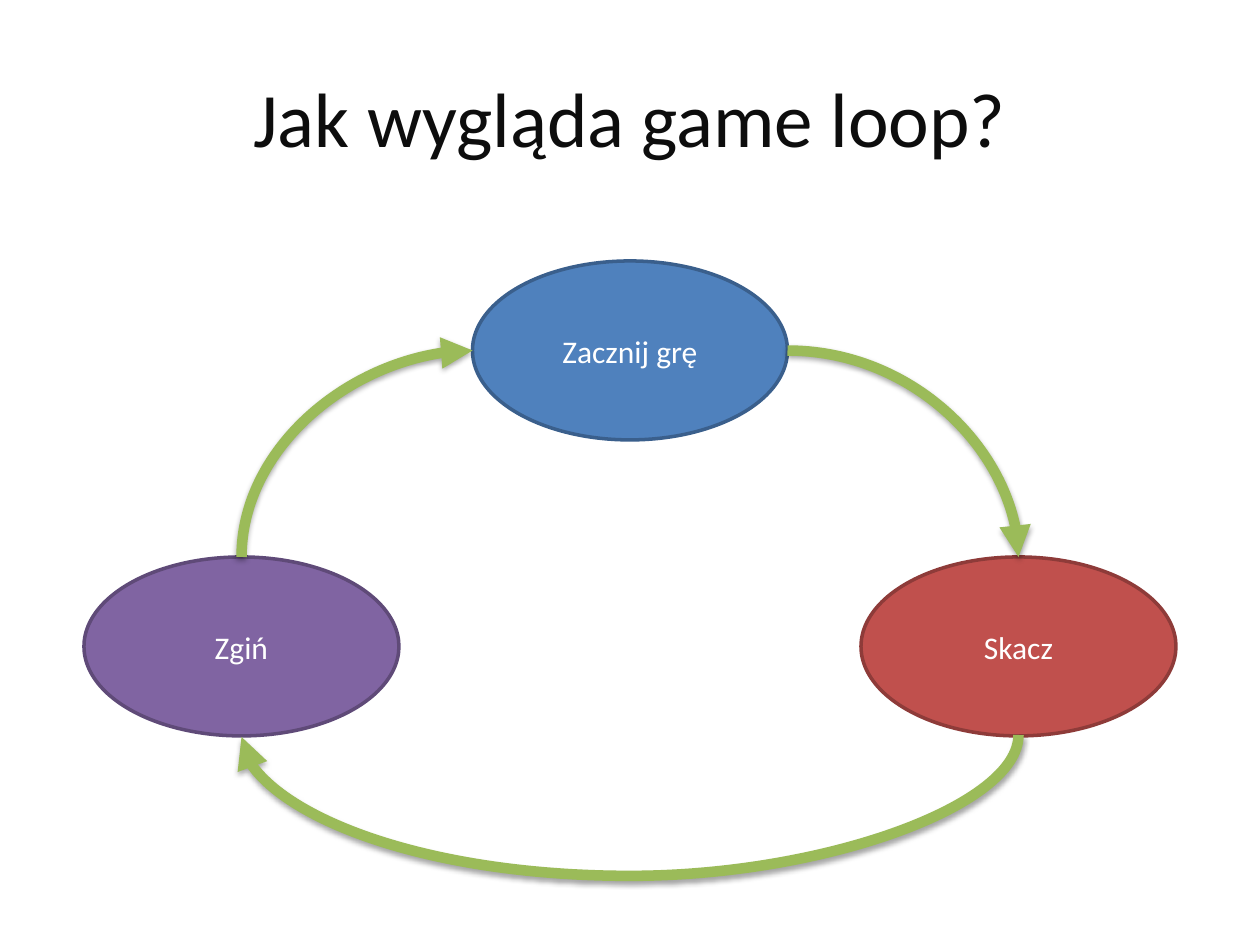
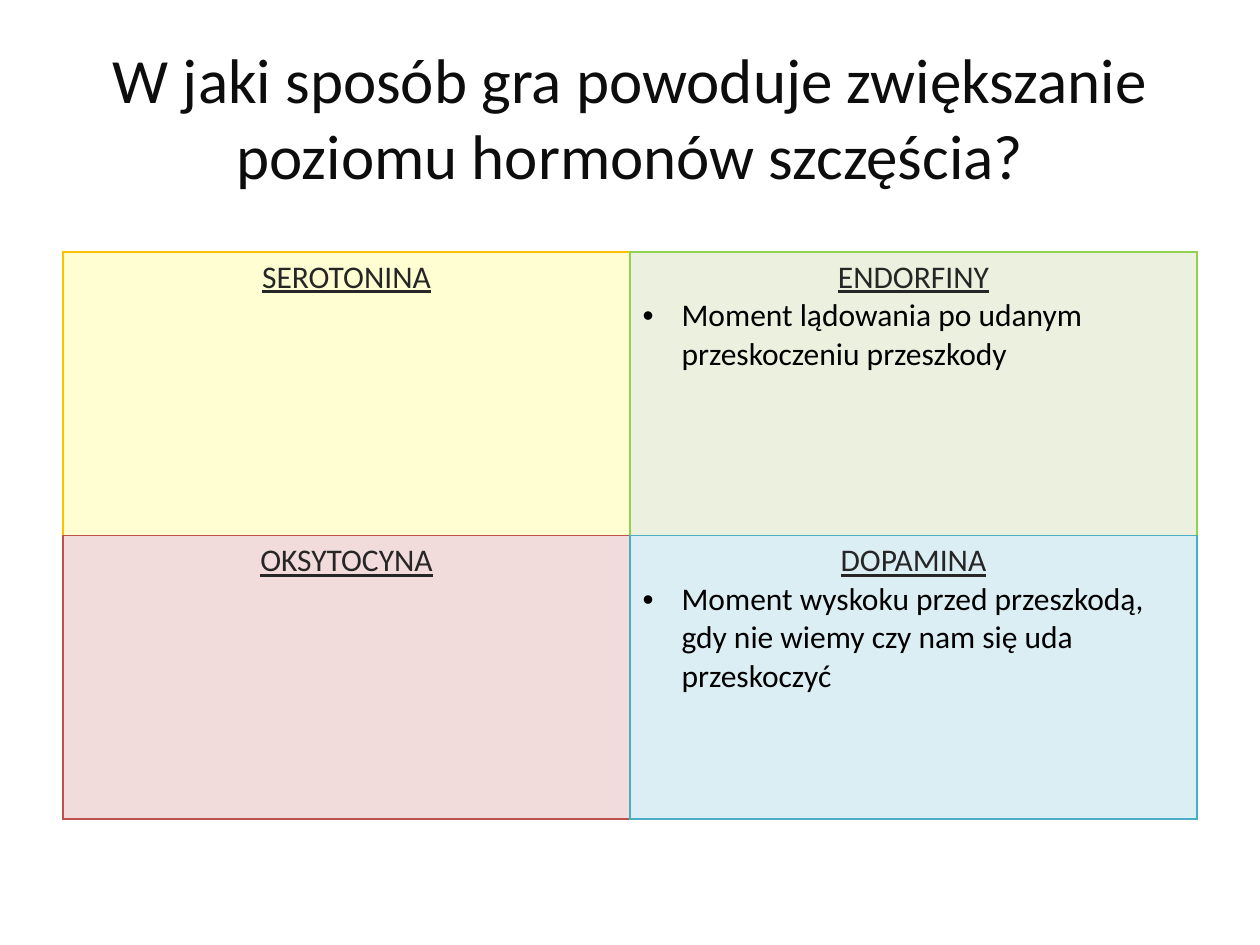
from dataclasses import dataclass

from lxml import etree
from pptx import Presentation
from pptx.dml.color import RGBColor
from pptx.enum.shapes import MSO_CONNECTOR, MSO_SHAPE
from pptx.enum.text import MSO_ANCHOR, PP_ALIGN
from pptx.oxml.ns import qn
from pptx.util import Emu, Pt

CENTER = PP_ALIGN.CENTER
MIDDLE = MSO_ANCHOR.MIDDLE
ELLIPSE = MSO_SHAPE.OVAL
CURVE = MSO_CONNECTOR.CURVE
PIXELS_PER_INCH = 126
EMU_PER_PIXEL = 914400 / PIXELS_PER_INCH
SITE_TOP, SITE_LEFT, SITE_BOTTOM, SITE_RIGHT = 0, 2, 4, 6


@dataclass(frozen=True)
class Theme:
    font: str = "Calibri"
    title_size: int = 44
    long_title_size: int = 36
    body_size: int = 18
    title: str = "0D0D0D"
    heading: str = "262626"
    body: str = "000000"
    light: str = "FFFFFF"
    arrow: str = "9BBB59"
    start: tuple = ("4F81BD", "3A5F8C")
    jump: tuple = ("C0504D", "8E3B39")
    die: tuple = ("8064A2", "5F4A78")
    yellow: tuple = ("FFFED2", "FFC000")
    green: tuple = ("EBF1DE", "92D050")
    red: tuple = ("F2DCDB", "C0504D")
    blue: tuple = ("DBEEF4", "4BACC6")


THEME = Theme()
TITLE_BOX = (63, 38, 1134, 157)
LOOP_BOX = (84, 261, 1092, 617)
TABLE_BOX = (63, 252, 1134, 567)


def px(value):
    return Emu(round(value * EMU_PER_PIXEL))


def rgb(value):
    return RGBColor.from_string(value)


def add_child(parent, tag, **attributes):
    child = etree.SubElement(parent, qn(tag))
    for name, value in attributes.items():
        child.set(name, str(value))
    return child


def style_paragraph(paragraph, size, color, alignment=None, underline=None):
    paragraph.alignment = alignment
    for run in paragraph.runs:
        run.font.name = THEME.font
        run.font.size = Pt(size)
        run.font.color.rgb = rgb(color)
        run.font.underline = underline


def add_title(slide, box, text, size):
    shape = slide.shapes.add_textbox(*map(px, box))
    frame = shape.text_frame
    frame.word_wrap = True
    frame.vertical_anchor = MIDDLE
    frame.text = text
    style_paragraph(frame.paragraphs[0], size, THEME.title, CENTER)


def add_stage(slide, box, text, colors):
    fill, outline = colors
    shape = slide.shapes.add_shape(ELLIPSE, *map(px, box))
    shape.shadow.inherit = False
    shape.fill.solid()
    shape.fill.fore_color.rgb = rgb(fill)
    shape.line.color.rgb = rgb(outline)
    shape.line.width = Pt(2)
    frame = shape.text_frame
    frame.vertical_anchor = MIDDLE
    frame.text = text
    style_paragraph(frame.paragraphs[0], THEME.body_size, THEME.light, CENTER)
    return shape


def add_shadow(properties):
    effects = add_child(properties, "a:effectLst")
    shadow = add_child(effects, "a:outerShdw", blurRad=Pt(3.1), dist=Pt(1.8),
                       dir=5400000, rotWithShape=0)
    color = add_child(shadow, "a:srgbClr", val="000000")
    add_child(color, "a:alpha", val=35000)


def add_arrow(slide, source, target, begin, end, turned=False, flipped=False, bulge=0):
    across, down = abs(end[0] - begin[0]), abs(end[1] - begin[1])
    width, height = (down, across) if turned else (across, down)
    left = (begin[0] + end[0] - width) / 2
    top = (begin[1] + end[1] - height) / 2
    connector = slide.shapes.add_connector(
        CURVE, px(left), px(top), px(left + width), px(top + height))
    connector.line.color.rgb = rgb(THEME.arrow)
    connector.line.width = Pt(6)

    properties = connector.element.spPr
    transform = properties.find(qn("a:xfrm"))
    if turned:
        transform.set("rot", "5400000")
    if flipped:
        transform.set("flipH", "1")
        transform.set("flipV", "1")
    geometry = properties.find(qn("a:prstGeom"))
    if bulge:
        guides = geometry.find(qn("a:avLst"))
        ratio = round(bulge / width * 100000)
        add_child(guides, "a:gd", name="adj1", fmla=f"val {ratio}")
    else:
        geometry.set("prst", "curvedConnector2")
    add_child(properties.find(qn("a:ln")), "a:tailEnd", type="triangle")
    add_shadow(properties)

    links = connector.element.find(".//" + qn("p:cNvCxnSpPr"))
    for tag, (shape, site) in (("a:stCxn", source), ("a:endCxn", target)):
        add_child(links, tag, id=shape.shape_id, idx=site)


def add_game_loop(slide, box):
    left, top, width, height = box
    stage_width, stage_height = 315, 179
    lower_top = top + 296
    center = left + width / 2
    start_left = center - stage_width / 2
    jump_left = left + width - stage_width
    die_center = left + stage_width / 2
    jump_center = jump_left + stage_width / 2
    start_middle = top + stage_height / 2
    lower_bottom = lower_top + stage_height
    size = (stage_width, stage_height)

    start = add_stage(slide, (start_left, top, *size), "Zacznij grę", THEME.start)
    jump = add_stage(slide, (jump_left, lower_top, *size), "Skacz", THEME.jump)
    die = add_stage(slide, (left, lower_top, *size), "Zgiń", THEME.die)

    add_arrow(slide, (start, SITE_RIGHT), (jump, SITE_TOP),
              (start_left + stage_width, start_middle), (jump_center, lower_top))
    add_arrow(slide, (jump, SITE_BOTTOM), (die, SITE_BOTTOM),
              (jump_center, lower_bottom - 1), (die_center, lower_bottom + 1),
              turned=True, bulge=top + height - lower_bottom)
    add_arrow(slide, (die, SITE_TOP), (start, SITE_LEFT),
              (die_center, lower_top), (start_left, start_middle),
              turned=True, flipped=True)


def set_borders(cell, left, right, top, bottom):
    properties = cell._tc.get_or_add_tcPr()
    sides = (("a:lnL", left), ("a:lnR", right), ("a:lnT", top), ("a:lnB", bottom))
    for tag, color in sides:
        line = add_child(properties, tag, w=Pt(1))
        fill = add_child(line, "a:solidFill")
        add_child(fill, "a:srgbClr", val=color)


def add_bullet(paragraph):
    properties = paragraph._p.get_or_add_pPr()
    properties.set("marL", str(px(39)))
    properties.set("indent", str(-px(39)))
    add_child(properties, "a:buFont", typeface="Arial")
    add_child(properties, "a:buChar", char="•")


def add_hormone_table(slide, box, rows):
    count = len(rows)
    columns = len(rows[0])
    table = slide.shapes.add_table(count, columns, *map(px, box)).table
    table.first_row = False
    table.horz_banding = False
    for row_index, row in enumerate(rows):
        for column_index, (heading, moment, (fill, edge)) in enumerate(row):
            cell = table.cell(row_index, column_index)
            right_neighbour = row[min(column_index + 1, columns - 1)]
            lower_neighbour = rows[min(row_index + 1, count - 1)][column_index]
            set_borders(cell, edge, right_neighbour[2][1], edge, lower_neighbour[2][1])
            cell.fill.solid()
            cell.fill.fore_color.rgb = rgb(fill)
            frame = cell.text_frame
            frame.text = heading
            style_paragraph(frame.paragraphs[0], THEME.body_size, THEME.heading, CENTER, True)
            if moment:
                paragraph = frame.add_paragraph()
                paragraph.text = moment
                style_paragraph(paragraph, THEME.body_size, THEME.body)
                add_bullet(paragraph)


def build_loop_slide(slide):
    add_title(slide, TITLE_BOX, "Jak wygląda game loop?", THEME.title_size)
    add_game_loop(slide, LOOP_BOX)


def build_hormone_slide(slide):
    add_title(slide, TITLE_BOX,
              "W jaki sposób gra powoduje zwiększanie poziomu hormonów szczęścia?",
              THEME.long_title_size)
    add_hormone_table(slide, TABLE_BOX, [
        [("SEROTONINA", "", THEME.yellow),
         ("ENDORFINY", "Moment lądowania po udanym przeskoczeniu przeszkody", THEME.green)],
        [("OKSYTOCYNA", "", THEME.red),
         ("DOPAMINA",
          "Moment wyskoku przed przeszkodą, gdy nie wiemy czy nam się uda przeskoczyć",
          THEME.blue)],
    ])


presentation = Presentation()
presentation.slide_width = px(10 * PIXELS_PER_INCH)
presentation.slide_height = px(7.5 * PIXELS_PER_INCH)
for build_slide in (build_loop_slide, build_hormone_slide):
    build_slide(presentation.slides.add_slide(presentation.slide_layouts[6]))
presentation.save("out.pptx")
